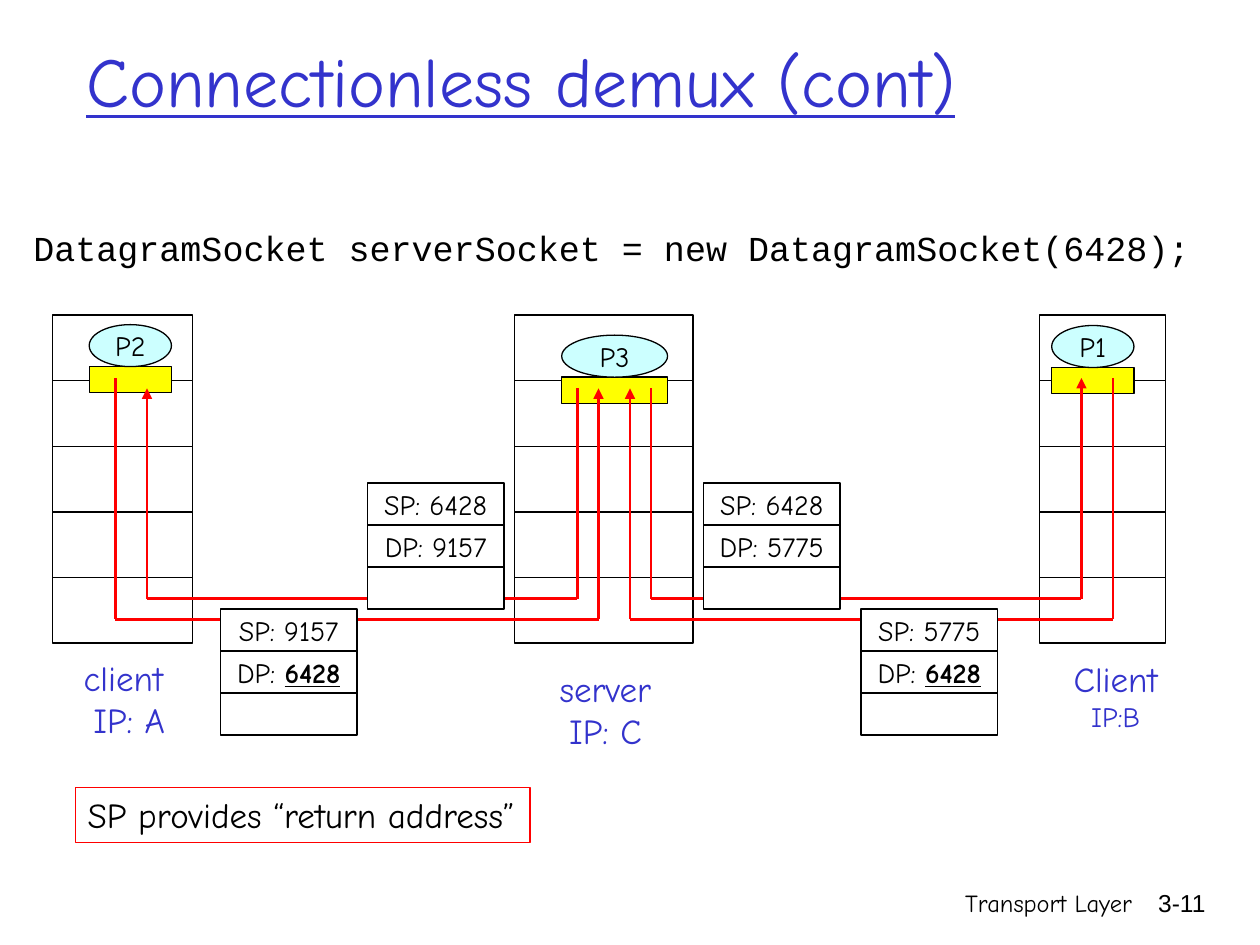
from pptx import Presentation
from pptx.dml.color import RGBColor
from pptx.enum.shapes import MSO_CONNECTOR, MSO_SHAPE
from pptx.enum.text import MSO_ANCHOR, MSO_AUTO_SIZE, PP_ALIGN
from pptx.oxml.ns import qn
from pptx.util import Pt
from lxml.etree import SubElement

BLACK, WHITE, BLUE = "000000", "FFFFFF", "3333CC"
YELLOW, CYAN, RED = "FFFF00", "CCFFFF", "FF0000"
LEFT, CENTER, RIGHT = PP_ALIGN.LEFT, PP_ALIGN.CENTER, PP_ALIGN.RIGHT


def color(value):
    return RGBColor.from_string(value)


class SlideBuilder:
    font_name = "Comic Neue"
    host_rows, host_row_height = 5, 37.5
    packet_width, packet_row_height = 78, 24

    def __init__(self, slide):
        self.slide = slide

    def fill_text(self, shape, paragraphs, align=LEFT, wrap=False,
                  anchor=MSO_ANCHOR.TOP, **style):
        """Fill a shape with paragraphs, each a list of (text, format) runs."""
        frame = shape.text_frame
        frame_format = {
            "word_wrap": wrap, "vertical_anchor": anchor,
            "auto_size": MSO_AUTO_SIZE.NONE,
            "margin_left": Pt(7.2), "margin_right": Pt(7.2),
            "margin_top": Pt(3.6), "margin_bottom": Pt(3.6),
        }
        for name, value in frame_format.items():
            setattr(frame, name, value)
        for index, runs in enumerate(paragraphs):
            paragraph = frame.add_paragraph() if index else frame.paragraphs[0]
            paragraph.alignment = align
            for text, run_style in runs:
                run = paragraph.add_run()
                run.text = text
                values = {"name": self.font_name, "size": 16,
                          "color": BLACK, **style, **run_style}
                run.font.color.rgb = color(values.pop("color"))
                values["size"] = Pt(values["size"])
                for name, value in values.items():
                    setattr(run.font, name, value)

    def title(self, text, box):
        title = self.slide.shapes.title
        for name, value in zip(("left", "top", "width", "height"), box):
            setattr(title, name, Pt(value))
        self.fill_text(title, [[(text, {})]], wrap=True,
                       size=40, color=BLUE, underline=True)

    def text(self, paragraphs, box, **style):
        shape = self.slide.shapes.add_textbox(*map(Pt, box))
        self.fill_text(shape, paragraphs, **style)

    def shape(self, kind, box, fill=WHITE, line=BLACK):
        shape = self.slide.shapes.add_shape(kind, *map(Pt, box))
        shape.shadow.inherit = False
        if fill:
            shape.fill.solid()
            shape.fill.fore_color.rgb = color(fill)
        else:
            shape.fill.background()
        shape.line.color.rgb = color(line)
        shape.line.width = Pt(0.75)
        return shape

    def host(self, left, width, process, process_box):
        """Draw a protocol stack with a process and the socket below it."""
        for row in range(self.host_rows):
            top = 180 + row * self.host_row_height
            self.shape(MSO_SHAPE.RECTANGLE,
                       (left, top, width, self.host_row_height))
        process_left, process_top, process_width = process_box
        self.shape(MSO_SHAPE.RECTANGLE,
                   (process_left, process_top + 24, process_width, 15), YELLOW)
        ellipse = self.shape(MSO_SHAPE.OVAL,
                             (process_left, process_top, process_width, 24), CYAN)
        self.fill_text(ellipse, [[(process, {})]], CENTER,
                       anchor=MSO_ANCHOR.MIDDLE)

    def route(self, points):
        """Join the points with straight lines, with an arrowhead at the end."""
        for start, end in zip(points, points[1:]):
            connector = self.slide.shapes.add_connector(
                MSO_CONNECTOR.STRAIGHT, *map(Pt, start + end))
            connector.line.color.rgb = color(RED)
            connector.line.width = Pt(1.5)
            properties = connector._element.spPr
            SubElement(properties, qn("a:effectLst"))
            if end == points[-1]:
                SubElement(properties.find(qn("a:ln")), qn("a:tailEnd"),
                           type="triangle")

    def packet(self, left, top, source, destination, port_style):
        rows = ([(f"SP: {source}", {})],
                [("DP: ", {}), (destination, port_style)], None)
        for index, runs in enumerate(rows):
            cell = self.shape(MSO_SHAPE.RECTANGLE, (
                left, top + index * self.packet_row_height,
                self.packet_width, self.packet_row_height))
            if runs:
                self.fill_text(cell, [runs], CENTER, anchor=MSO_ANCHOR.MIDDLE)


def main():
    presentation = Presentation()
    presentation.slide_width, presentation.slide_height = Pt(720), Pt(540)
    builder = SlideBuilder(
        presentation.slides.add_slide(presentation.slide_layouts[5]))

    builder.title("Connectionless demux (cont)", (42, 18, 612, 90))
    builder.text([[("DatagramSocket serverSocket = new DatagramSocket(6428);", {})]],
                 (12, 126, 684, 48), wrap=True, size=20, name="Courier New")

    for left, width, process, process_box in (
        (30, 80, "P2", (51, 185.5, 47)),
        (594, 72, "P1", (601, 186, 47)),
        (294, 102, "P3", (321, 191.5, 60.5)),
    ):
        builder.host(left, width, process, process_box)

    for name, address, address_size, box in (
        ("client", " IP: A", 20, (39.5, 371.5, 62, 55.5)),
        ("server", "IP: C", 20, (312.5, 378, 67, 55.5)),
        ("Client", "IP:B", 16, (606, 372, 63, 50.5)),
    ):
        builder.text([[(name, {})], [(address, {"size": address_size})]],
                     box, align=CENTER, size=20, color=BLUE)

    request_level, reply_level = 354, 342
    for start_x, start_y, level, end_x, end_y in (
        (66, 216, request_level, 342, 222),
        (330, 222, reply_level, 84, 222),
        (636, 216, request_level, 360, 222),
        (372, 222, reply_level, 618, 216),
    ):
        builder.route([(start_x, start_y), (start_x, level),
                       (end_x, level), (end_x, end_y)])

    server_port = {"bold": True, "underline": True}
    for left, top, source, destination, port_style in (
        (210, 276, "6428", "9157", {}),
        (126, 348, "9157", "6428", server_port),
        (402, 276, "6428", "5775", {}),
        (492, 348, "5775", "6428", server_port),
    ):
        builder.packet(left, top, source, destination, port_style)

    note = builder.shape(MSO_SHAPE.RECTANGLE, (43, 450, 260, 31.5), None, RED)
    builder.fill_text(note, [[("SP provides “return address”", {})]], size=20)

    builder.text([[("Transport Layer", {})]], (426, 504, 228, 36),
                 align=RIGHT, wrap=True, size=14)
    builder.text([[("3-11", {})]], (643, 504, 53, 36),
                 align=RIGHT, wrap=True, size=14, name="Arial")
    presentation.save("out.pptx")


if __name__ == "__main__":
    main()
